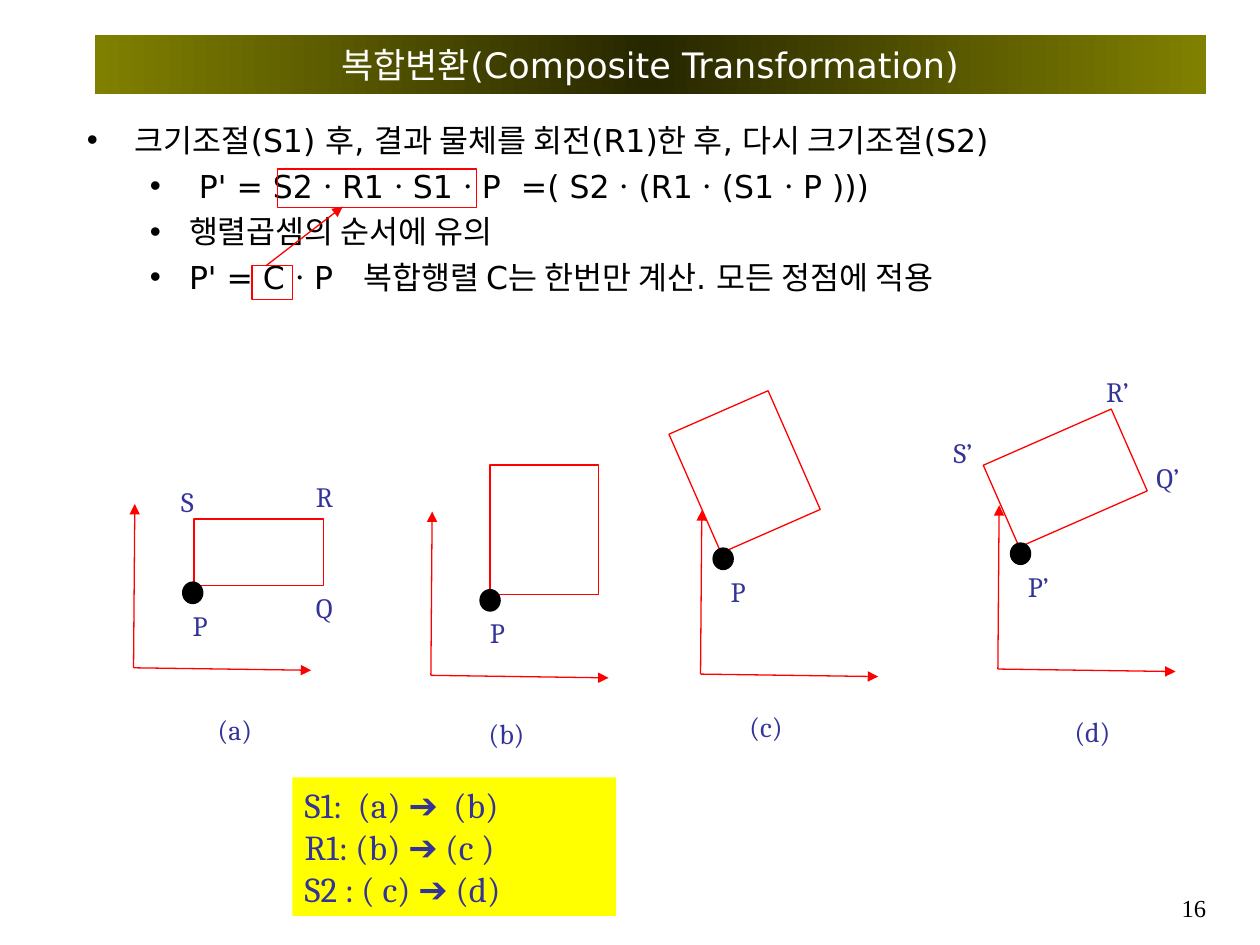
"""Build the composite transformation slide: formulas, four panels and a legend."""
from copy import deepcopy

from lxml import etree
from pptx import Presentation
from pptx import util as u
from pptx.dml.color import RGBColor
from pptx.enum import shapes, text
from pptx.oxml import ns

RED = RGBColor(0xFF, 0, 0)
BLACK = RGBColor(0, 0, 0)
WHITE = RGBColor(0xFF, 0xFF, 0xFF)
YELLOW = RGBColor(0xFF, 0xFF, 0)
INDIGO = RGBColor(0x33, 0x33, 0x99)
OLIVE = RGBColor(0x80, 0x80, 0)
DARK_OLIVE = RGBColor(0x27, 0x27, 0)
SANS, SERIF = "DejaVu Sans", "Cambria"
TILT = -23.7
LABEL_SIZE = (0.66, 0.37)
DOT_SIZE = (0.16, 0.17)

TITLE = "복합변환(Composite Transformation)"
BULLETS = [
    (0, "크기조절(S1) 후, 결과 물체를 회전(R1)한 후, 다시 크기조절(S2)"),
    (1, " P' = S2ㆍR1ㆍS1ㆍP  =( S2ㆍ(R1ㆍ(S1ㆍP )))"),
    (1, "행렬곱셈의 순서에 유의"),
    (1, "P' = CㆍP   복합행렬 C는 한번만 계산. 모든 정점에 적용"),
]
INDENTS = [(0.38, -0.38), (0.81, -0.31)]
PANELS = [
    {"origin": (1.06, 5.3), "figure": (1.54, 4.12, 1.03, 0.53), "turn": 0,
     "dot": (0.39, -0.68), "point": "P", "caption": ("(a)", 1.63, 5.61)},
    {"origin": (3.42, 5.36), "figure": (3.89, 3.69, 0.86, 1.03), "turn": 0,
     "dot": (0.39, -0.68), "point": "P", "caption": ("(b)", 3.78, 5.64)},
    {"origin": (5.56, 5.35), "figure": (5.48, 3.23, 0.86, 1.03), "turn": TILT,
     "dot": (0.1, -1), "point": "P", "caption": ("(c)", 5.85, 5.58)},
    {"origin": (7.92, 5.31), "figure": (7.9, 3.44, 1.11, 0.71), "turn": TILT,
     "dot": (0.1, -1), "point": "P’", "caption": ("(d)", 8.43, 5.62)},
]
CORNERS = [
    ("Q", 2.41, 4.64), ("R", 2.41, 3.76), ("S", 1.34, 3.8),
    ("Q’", 9.08, 3.61), ("R’", 8.68, 2.92), ("S’", 7.47, 3.41),
]
LEGEND = [("S1:  (a) ", "  (b)"), ("R1: (b) ", " (c )"), ("S2 : ( c) ", " (d)")]
MARKS = [(2, 2.11, 0.32, 0.27), (2.2, 1.34, 1.58, 0.31)]


def inches(*values):
    return [u.Inches(value) for value in values]


def style(font, name, size, color):
    font.name, font.size, font.color.rgb = name, u.Pt(size), color


def move(shape, *place):
    shape.left, shape.top, shape.width, shape.height = inches(*place)


def add_outline(page, kind, place, line=None, fill=None, turn=0):
    shape = page.shapes.add_shape(kind, *inches(*place))
    shape.shadow.inherit = False
    shape.rotation = turn
    if fill is None:
        shape.fill.background()
    else:
        shape.fill.solid()
        shape.fill.fore_color.rgb = fill
    if line is None:
        shape.line.fill.background()
    else:
        shape.line.color.rgb, shape.line.width = line, u.Pt(0.75)
    return shape


def add_arrow(page, start, end):
    arrow = page.shapes.add_connector(shapes.MSO_CONNECTOR.STRAIGHT, *inches(*start, *end))
    arrow.line.color.rgb, arrow.line.width = RED, u.Pt(0.75)
    etree.SubElement(arrow.line._get_or_add_ln(), ns.qn("a:tailEnd"), type="triangle")
    etree.SubElement(arrow._element.spPr, ns.qn("a:effectLst"))


def add_label(page, words, left, top, size=LABEL_SIZE):
    box = page.shapes.add_textbox(*inches(left, top, *size))
    box.text_frame.word_wrap = True
    box.text_frame.text = words
    para = box.text_frame.paragraphs[0]
    style(para.runs[0].font, SERIF, 16, INDIGO)
    return para


def add_title(page):
    title = page.shapes.title
    move(title, 0.75, 0.28, 8.82, 0.47)
    title.fill.gradient()
    title.fill.gradient_angle = 0
    stops = title.fill._fill._gradFill.gsLst
    stops.append(deepcopy(stops[-1]))
    for stop, (position, color) in zip(
            title.fill.gradient_stops, [(0, OLIVE), (0.5, DARK_OLIVE), (1, OLIVE)]):
        stop.position, stop.color.rgb = position, color
    frame = title.text_frame
    frame.text = TITLE
    frame.auto_size = text.MSO_AUTO_SIZE.NONE
    frame.vertical_anchor = text.MSO_ANCHOR.MIDDLE
    para = frame.paragraphs[0]
    para.alignment = text.PP_ALIGN.CENTER
    style(para.runs[0].font, SANS, 20, WHITE)


def add_bullets(page):
    body = page.placeholders[1]
    move(body, 0.59, 0.91, 8.98, 2.48)
    frame = body.text_frame
    frame.text = "\n".join(words for _, words in BULLETS)
    frame.auto_size = text.MSO_AUTO_SIZE.NONE
    for index, (para, (level, _)) in enumerate(zip(frame.paragraphs, BULLETS)):
        para.level = level
        para.space_before = u.Pt(4.5 if index else 0)
        margin, indent = inches(*INDENTS[level])
        props = para._p.get_or_add_pPr()
        props.set("marL", str(margin))
        props.set("indent", str(indent))
        etree.SubElement(props, ns.qn("a:buFont"), typeface="Arial")
        etree.SubElement(props, ns.qn("a:buChar"), char="•")
        style(para.runs[0].font, SANS, 18, BLACK)


def add_panel(page, panel):
    x, y = panel["origin"]
    dx, dy = panel["dot"]
    add_arrow(page, (x, y), (x + 0.01, y - 1.3))
    add_arrow(page, (x, y), (x + 1.41, y + 0.02))
    add_outline(page, shapes.MSO_SHAPE.RECTANGLE, panel["figure"], RED, turn=panel["turn"])
    add_outline(page, shapes.MSO_SHAPE.OVAL, (x + dx, y + dy, *DOT_SIZE), BLACK, BLACK)
    nudge = 0.04 if panel["turn"] else -0.02
    add_label(page, panel["point"], x + dx + nudge, y + dy + 0.16)
    add_label(page, *panel["caption"])


def add_legend(page):
    box = add_outline(page, shapes.MSO_SHAPE.RECTANGLE, (2.32, 6.17, 2.57, 1.1), fill=YELLOW)
    frame = box.text_frame
    frame.vertical_anchor = text.MSO_ANCHOR.TOP
    for index, (before, after) in enumerate(LEGEND):
        para = frame.add_paragraph() if index else frame.paragraphs[0]
        para.alignment = text.PP_ALIGN.LEFT
        for words, font in ((before, SERIF), ("➔", "Arial"), (after, SERIF)):
            span = para.add_run()
            span.text = words
            style(span.font, font, 20, INDIGO)


def main():
    deck = Presentation()
    deck.slide_width, deck.slide_height = inches(10, 7.5)
    page = deck.slides.add_slide(deck.slide_layouts[1])
    add_title(page)
    add_bullets(page)
    for panel in PANELS:
        add_panel(page, panel)
    add_legend(page)
    for corner in CORNERS:
        add_label(page, *corner)
    for place in MARKS:
        add_outline(page, shapes.MSO_SHAPE.RECTANGLE, place, RED)
    add_arrow(page, (2.11, 2.11), (2.72, 1.64))
    number = add_label(page, "16", 9.25, 7.04, (0.42, 0.17))
    number.alignment = text.PP_ALIGN.RIGHT
    style(number.runs[0].font, "Times New Roman", 14, BLACK)
    deck.save("out.pptx")


if __name__ == "__main__":
    main()
